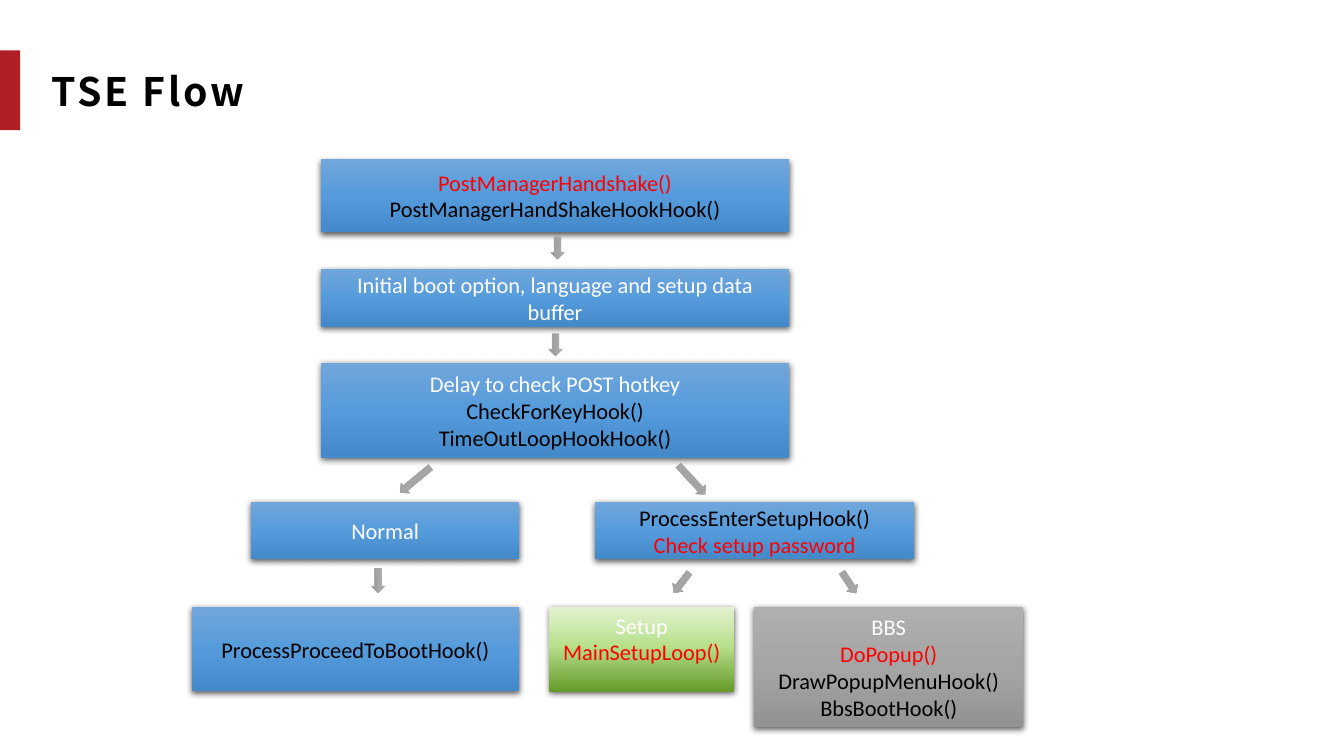
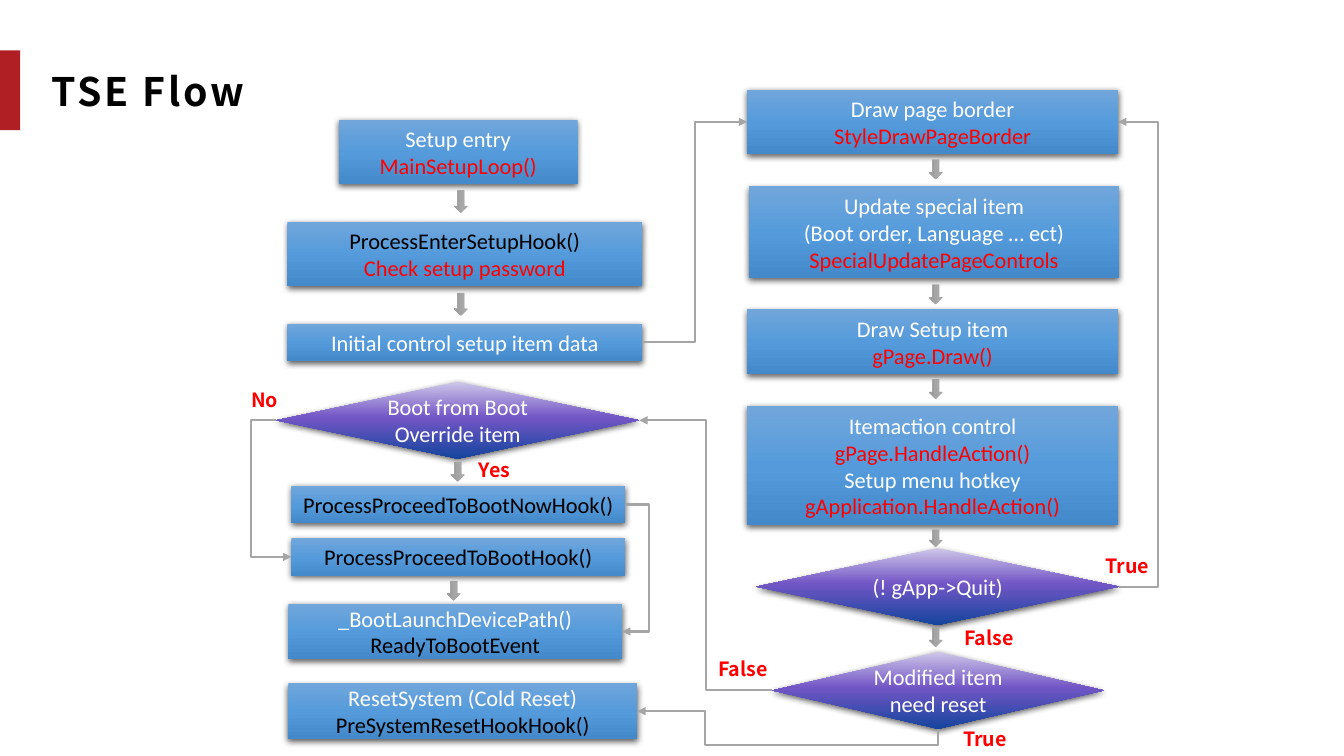
"""Builds the two TSE flow chart slides."""
from pptx import Presentation
from pptx.dml.color import RGBColor
from pptx.enum import shapes, text
from pptx.oxml import parse_xml
from pptx.oxml.ns import nsdecls, qn
from pptx.util import Inches, Pt

COLORS = {"white": "FFFFFF", "black": "000000", "red": "FF0000",
          "band": "B01F24", "gray": "A5A5A5"}
GRADIENTS = {
    "blue": ((0, "71A6DB"), (50, "559BDB"), (100, "448ACA")),
    "green": ((0, "E3F3D1"), (46, "B8E08C"), (100, "659B29")),
    "gray": ((0, "AFAFAF"), (50, "A5A5A5"), (100, "939393")),
    "purple": ((0, "CEC6E8"), (46, "7356C6"), (100, "14459D")),
}
BODY_FONT, TITLE_FONT = "Calibri", "Noto Sans CJK SC"
MSO = shapes.MSO_SHAPE
TOP, LEFT, BOTTOM, RIGHT = range(4)


def rgb(name):
    """Return the named colour."""
    return RGBColor.from_string(COLORS[name])


def add_run(p, content, color, font, size, bold=False):
    """Add one formatted run to a paragraph."""
    r = p.add_run()
    r.text = content
    r.font.name, r.font.size, r.font.bold = font, Pt(size), bold
    r.font.color.rgb = rgb(color)
    return r


def add_gradient_shape(s, kind, at, gradient):
    """Add a preset shape with a top-to-bottom gradient."""
    sp = s.shapes.add_shape(kind, *map(Inches, at))
    sp.shadow.inherit = False
    stops = "".join(f'<a:gs pos="{pos * 1000}"><a:srgbClr val="{c}"/></a:gs>'
                    for pos, c in GRADIENTS[gradient])
    sp._element.spPr.find(qn("a:prstGeom")).addnext(parse_xml(
        f'<a:gradFill {nsdecls("a")} rotWithShape="1"><a:gsLst>{stops}</a:gsLst>'
        '<a:lin ang="5400000" scaled="0"/></a:gradFill>'))
    return sp


def add_box(s, at, lines, gradient="blue", kind=MSO.RECTANGLE, top=False):
    """Add a shadowed flow step with one paragraph per (text, colour) line."""
    sp = add_gradient_shape(s, kind, at, gradient)
    sp.line.fill.background()
    sp._element.spPr.find(qn("a:effectLst")).append(parse_xml(
        f'<a:outerShdw {nsdecls("a")} blurRad="57150" dist="19050" dir="5400000" '
        'algn="ctr" rotWithShape="0"><a:srgbClr val="000000">'
        '<a:alpha val="63000"/></a:srgbClr></a:outerShdw>'))
    tf = sp.text_frame
    tf.word_wrap = True
    tf.vertical_anchor = text.MSO_ANCHOR.TOP if top else text.MSO_ANCHOR.MIDDLE
    for i, (content, color) in enumerate(lines):
        p = tf.add_paragraph() if i else tf.paragraphs[0]
        p.alignment = text.PP_ALIGN.CENTER
        add_run(p, content, color, BODY_FONT, 16)
    return sp


def add_decision(s, at, content):
    """Add a purple decision diamond."""
    return add_box(s, at, [(content, "white")], "purple", MSO.FLOWCHART_DECISION)


def add_arrow(s, cx, cy, length, angle=90):
    """Add a small block arrow around its centre."""
    thick = 0.13
    sp = add_gradient_shape(s, MSO.RIGHT_ARROW, (cx - length / 2, cy - thick / 2,
                                                 length, thick), "gray")
    sp.rotation = angle
    sp.line.color.rgb = rgb("gray")
    sp.line.width = Pt(0.5)


def add_elbow(s, start, end, via_x, via_y=None, arrow_end="tailEnd"):
    """Connect two (shape, site) ends, bending at via_x and optionally via_y."""
    cx = s.shapes.add_connector(shapes.MSO_CONNECTOR.ELBOW, 0, 0, 0, 0)
    cx.begin_connect(*start)
    cx.end_connect(*end)
    cx.line.color.rgb = rgb("gray")
    cx.line.width = Pt(1.5)
    bends = [(Inches(via_x) - cx.begin_x) / (cx.end_x - cx.begin_x)]
    spPr = cx._element.spPr
    geom = spPr.find(qn("a:prstGeom"))
    if via_y is not None:
        geom.set("prst", "bentConnector4")
        bends.append((Inches(via_y) - cx.begin_y) / (cx.end_y - cx.begin_y))
    guides = "".join(f'<a:gd name="adj{i}" fmla="val {round(b * 100000)}"/>'
                     for i, b in enumerate(bends, 1))
    for old in list(geom):
        geom.remove(old)
    geom.append(parse_xml(f'<a:avLst {nsdecls("a")}>{guides}</a:avLst>'))
    spPr.find(qn("a:ln")).append(
        parse_xml(f'<a:{arrow_end} {nsdecls("a")} type="triangle"/>'))
    spPr.append(parse_xml(f'<a:effectLst {nsdecls("a")}/>'))


def add_label(s, x, y, w, content):
    """Add a red branch label."""
    tf = s.shapes.add_textbox(*map(Inches, (x, y, w, 0.34))).text_frame
    tf.word_wrap = True
    p = tf.paragraphs[0]
    p.alignment = text.PP_ALIGN.CENTER
    add_run(p, content, "red", TITLE_FONT, 14, True)


def add_title(s, content):
    """Add the slide title."""
    tf = s.shapes.add_textbox(*map(Inches, (0.41, 0.62, 2.18, 0.57))).text_frame
    tf.word_wrap = False
    r = add_run(tf.paragraphs[0], content, "black", TITLE_FONT, 28, True)
    r.font._element.set("spc", "200")


def add_band(s):
    """Put the red title band on the slide's layout."""
    sp = s.shapes.add_shape(MSO.RECTANGLE, *map(Inches, (0, 0.5, 0.2, 0.79)))
    sp.shadow.inherit = False
    sp.fill.solid()
    sp.fill.fore_color.rgb = rgb("band")
    sp.line.fill.background()
    s.slide_layout.shapes._spTree.append(sp._element)


def build_overview(s):
    """Draw the flow from handshake to boot, setup or BBS."""
    x, w = 3.18, 4.65
    add_box(s, (x, 1.58, w, 0.72), [("PostManagerHandshake()", "red"),
                                    ("PostManagerHandShakeHookHook()", "black")])
    add_box(s, (x, 2.67, w, 0.57),
            [("Initial boot option, language and setup data buffer", "white")])
    add_box(s, (x, 3.6, w, 0.94), [("Delay to check POST hotkey", "white"),
                                   ("CheckForKeyHook()", "black"),
                                   ("TimeOutLoopHookHook()", "black")])
    add_box(s, (2.49, 4.98, 2.66, 0.57), [("Normal", "white")])
    add_box(s, (5.9, 4.98, 3.17, 0.57), [("ProcessEnterSetupHook()", "black"),
                                         ("Check setup password", "red")])
    add_box(s, (1.9, 6.02, 3.25, 0.84), [("ProcessProceedToBootHook()", "black")])
    add_box(s, (5.45, 6.02, 1.83, 0.84), [("Setup", "white"),
                                          ("MainSetupLoop()", "red")], "green", top=True)
    add_box(s, (7.48, 6.02, 2.67, 1.19), [("BBS", "white"), ("DoPopup()", "red"),
                                          ("DrawPopupMenuHook()", "black"),
                                          ("BbsBootHook()", "black")], "gray")
    for arrow in ((5.53, 2.46, 0.22), (5.51, 3.42, 0.22), (3.75, 5.76, 0.24),
                  (4.12, 4.76, 0.39, 140.3), (6.86, 4.76, 0.39, 47.2),
                  (6.76, 5.78, 0.25, 127.5), (8.42, 5.78, 0.25, 56.3)):
        add_arrow(s, *arrow)


def build_setup_loop(s):
    """Draw the setup main loop and its exits."""
    add_box(s, (3.36, 1.19, 2.37, 0.64), [("Setup entry", "white"),
                                          ("MainSetupLoop()", "red")], top=True)
    add_box(s, (2.85, 2.2, 3.52, 0.64), [("ProcessEnterSetupHook()", "black"),
                                         ("Check setup password", "red")])
    initial = add_box(s, (2.85, 3.21, 3.52, 0.37),
                      [("Initial control setup item data", "white")])
    override = add_decision(s, (2.74, 3.79, 3.6, 0.76), "Boot from Boot Override item")
    boot_now = add_box(s, (2.89, 4.82, 3.31, 0.37),
                       [("ProcessProceedToBootNowHook()", "black")])
    boot = add_box(s, (2.89, 5.34, 3.31, 0.37), [("ProcessProceedToBootHook()", "black")])
    launch = add_box(s, (2.86, 5.99, 3.31, 0.55), [("_BootLaunchDevicePath()", "white"),
                                                   ("ReadyToBootEvent", "black")])
    reset = add_box(s, (2.86, 6.78, 3.46, 0.55), [("ResetSystem (Cold Reset)", "white"),
                                                  ("PreSystemResetHookHook()", "black")])

    x, w = 7.41, 3.68
    border = add_box(s, (x, 0.89, w, 0.64), [("Draw page border", "white"),
                                             ("StyleDrawPageBorder", "red")])
    add_box(s, (7.43, 1.85, 3.67, 0.91), [("Update special item", "white"),
                                          ("(Boot order, Language … ect)", "white"),
                                          ("SpecialUpdatePageControls", "red")])
    add_box(s, (x, 3.07, w, 0.64), [("Draw Setup item", "white"), ("gPage.Draw()", "red")])
    add_box(s, (x, 4.03, w, 1.18), [("Itemaction control", "white"),
                                    ("gPage.HandleAction()", "red"),
                                    ("Setup menu hotkey", "white"),
                                    ("gApplication.HandleAction()", "red")])
    quit_app = add_decision(s, (7.5, 5.44, 3.6, 0.76), "(! gApp->Quit)")
    modified = add_decision(s, (7.66, 6.47, 3.29, 0.76), "Modified item need reset")

    add_elbow(s, (initial, RIGHT), (border, LEFT), 6.89)
    add_elbow(s, (quit_app, RIGHT), (border, RIGHT), 11.49)
    add_elbow(s, (modified, LEFT), (override, RIGHT), 7)
    add_elbow(s, (override, LEFT), (boot, LEFT), 2.49)
    add_elbow(s, (boot_now, RIGHT), (launch, RIGHT), 6.44)
    add_elbow(s, (reset, RIGHT), (modified, BOTTOM), 6.99, 7.39, "headEnd")

    for arrow in ((4.57, 2, 0.22), (4.57, 3.02, 0.22), (4.54, 4.68, 0.19),
                  (4.5, 5.86, 0.19), (9.28, 1.68, 0.19), (9.28, 2.92, 0.19),
                  (9.28, 3.86, 0.19), (9.28, 5.34, 0.17), (9.28, 6.32, 0.19)):
        add_arrow(s, *arrow)
    for label in ((2.31, 3.8, 0.63, "No"), (4.59, 4.49, 0.63, "Yes"),
                  (10.68, 5.45, 1, "True"), (9.31, 6.16, 1, "False"),
                  (6.87, 6.47, 1, "False"), (9.31, 7.16, 0.92, "True")):
        add_label(s, *label)


def main():
    """Build and save the presentation."""
    prs = Presentation()
    prs.slide_width, prs.slide_height = Inches(13.33), Inches(7.5)
    blank = prs.slide_layouts[6]
    for i, build in enumerate((build_overview, build_setup_loop)):
        s = prs.slides.add_slide(blank)
        if i == 0:
            add_band(s)
        build(s)
        add_title(s, "TSE Flow")
    prs.save("out.pptx")


if __name__ == "__main__":
    main()
